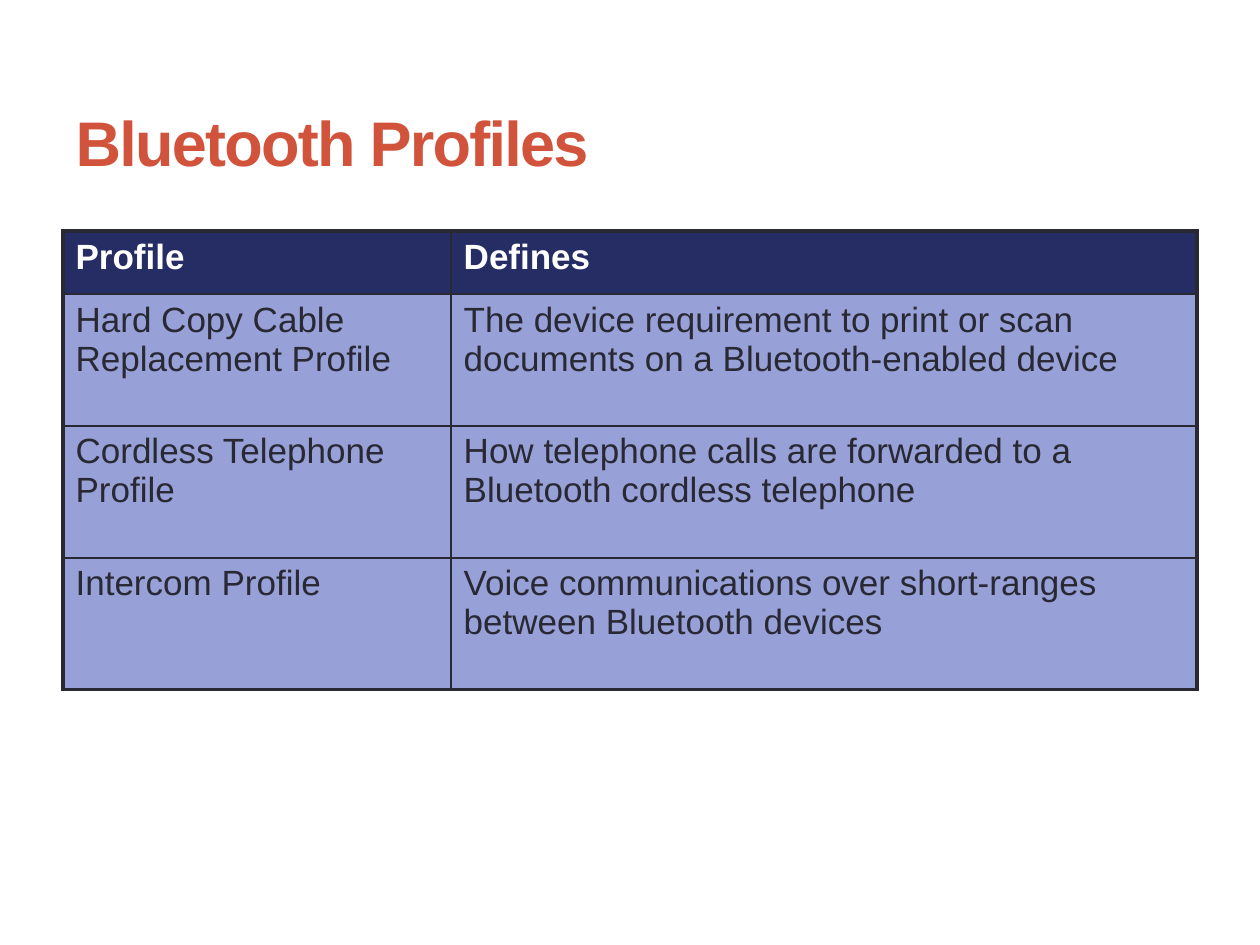
from typing import NamedTuple

from lxml import etree
from pptx import Presentation
from pptx.dml.color import RGBColor
from pptx.enum.text import MSO_ANCHOR, PP_ALIGN
from pptx.oxml.ns import qn
from pptx.util import Pt

LEFT = PP_ALIGN.LEFT
TOP = MSO_ANCHOR.TOP
MIDDLE = MSO_ANCHOR.MIDDLE

RED = RGBColor(0xD2, 0x53, 0x3C)
NAVY = RGBColor(0x26, 0x2D, 0x64)
LAVENDER = RGBColor(0x98, 0xA0, 0xD8)
DARK = RGBColor(0x29, 0x29, 0x34)
WHITE = RGBColor(0xFF, 0xFF, 0xFF)

TITLE_FORMAT = {"name": "Arial", "size": Pt(36), "bold": True}
HEADER_FORMAT = {"name": "Arial", "size": Pt(20), "bold": True}
BODY_FORMAT = {"name": "Arial", "size": Pt(20), "bold": False}

COLUMN_WIDTHS = (221.8, 426.2)
HEADER_HEIGHT = 36
BODY_HEIGHT = 75.4
OUTER_BORDER = Pt(2.25)
INNER_BORDER = Pt(1)


class Profile(NamedTuple):
    name: str
    defines: str


HEADER = Profile("Profile", "Defines")
PROFILES = (
    Profile("Hard Copy Cable Replacement Profile",
            "The device requirement to print or scan documents on a Bluetooth-enabled device"),
    Profile("Cordless Telephone Profile",
            "How telephone calls are forwarded to a Bluetooth cordless telephone"),
    Profile("Intercom Profile",
            "Voice communications over short-ranges between Bluetooth devices"),
)


def write_text(text_frame, text: str, color: RGBColor, font_format: dict):
    paragraph = text_frame.paragraphs[0]
    paragraph.alignment = LEFT
    run = paragraph.add_run()
    run.text = text
    for attribute, value in font_format.items():
        setattr(run.font, attribute, value)
    run.font.color.rgb = color
    return run


def set_borders(cell, outer_edges: dict[str, bool]) -> None:
    """Draw each edge, thick where it lies on the outside of the table."""
    properties = cell._tc.get_or_add_tcPr()
    for position, (edge, is_outer) in enumerate(outer_edges.items()):
        width = OUTER_BORDER if is_outer else INNER_BORDER
        line = etree.Element(qn(f"a:{edge}"), w=str(int(width)))
        fill = etree.SubElement(line, qn("a:solidFill"))
        etree.SubElement(fill, qn("a:srgbClr"), val=str(DARK))
        properties.insert(position, line)


def add_title(slide, text: str) -> None:
    title = slide.shapes.title
    title.left, title.top, title.width, title.height = Pt(36), Pt(42), Pt(648), Pt(78)
    title.text_frame.vertical_anchor = MIDDLE
    run = write_text(title.text_frame, text, RED, TITLE_FORMAT)
    run.font._element.set("spc", "-100")


def add_profile_table(slide, rows: tuple[Profile, ...]) -> None:
    heights = [HEADER_HEIGHT] + [BODY_HEIGHT] * (len(rows) - 1)
    table = slide.shapes.add_table(
        len(rows), len(COLUMN_WIDTHS), Pt(36), Pt(132),
        Pt(sum(COLUMN_WIDTHS)), Pt(sum(heights))).table
    table.horz_banding = False
    for column, width in zip(table.columns, COLUMN_WIDTHS):
        column.width = Pt(width)
    for row_index, (profile, height) in enumerate(zip(rows, heights)):
        table.rows[row_index].height = Pt(height)
        is_header = row_index == 0
        for column_index, text in enumerate(profile):
            cell = table.cell(row_index, column_index)
            cell.vertical_anchor = TOP
            cell.fill.solid()
            cell.fill.fore_color.rgb = NAVY if is_header else LAVENDER
            write_text(cell.text_frame, text, WHITE if is_header else DARK,
                       HEADER_FORMAT if is_header else BODY_FORMAT)
            set_borders(cell, {
                "lnL": column_index == 0,
                "lnR": column_index == len(COLUMN_WIDTHS) - 1,
                "lnT": is_header,
                "lnB": row_index == len(rows) - 1,
            })


def main() -> None:
    presentation = Presentation()
    presentation.slide_width, presentation.slide_height = Pt(720), Pt(540)
    title_only = presentation.slide_layouts.get_by_name("Title Only")
    slide = presentation.slides.add_slide(title_only)
    add_profile_table(slide, (HEADER, *PROFILES))
    add_title(slide, "Bluetooth Profiles")
    presentation.save("out.pptx")


if __name__ == "__main__":
    main()
